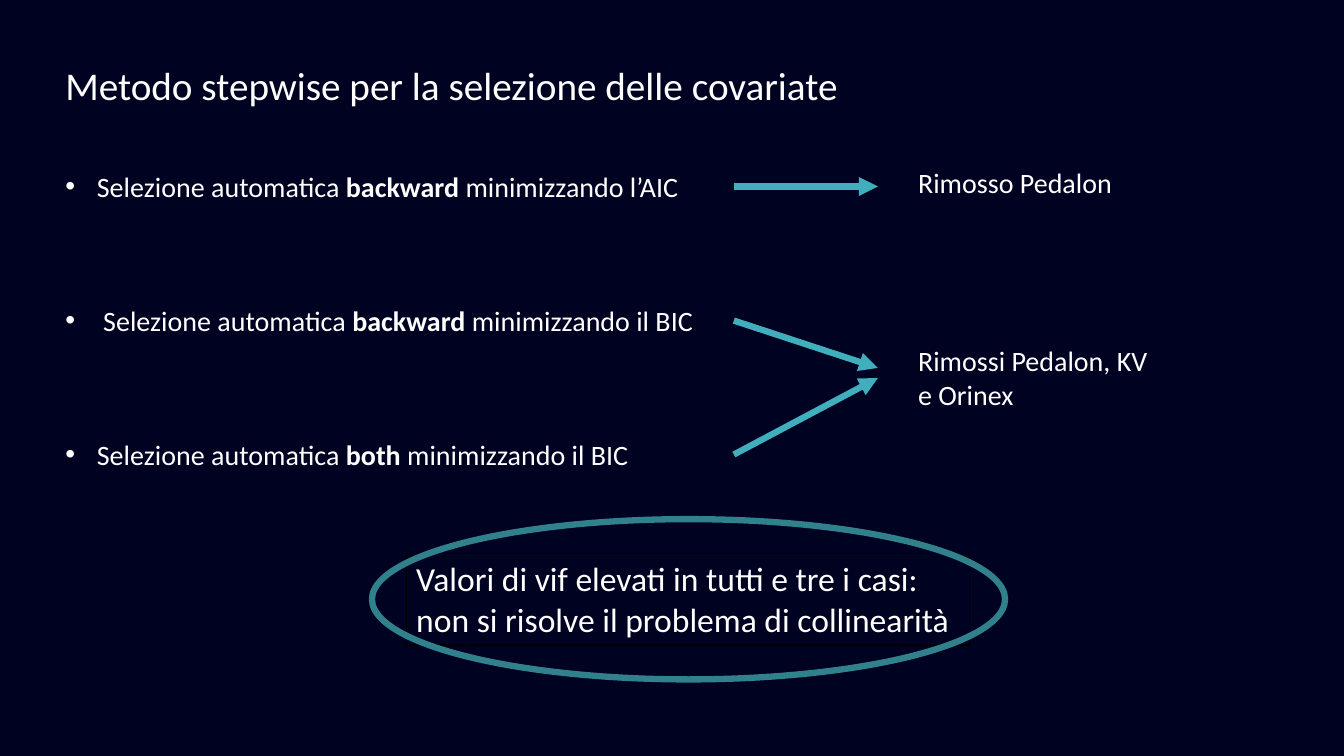
from dataclasses import dataclass

from lxml import etree
from pptx import Presentation
from pptx.dml.color import RGBColor
from pptx.enum.shapes import MSO_CONNECTOR, MSO_SHAPE
from pptx.enum.text import MSO_ANCHOR, PP_ALIGN
from pptx.oxml.ns import qn
from pptx.util import Pt

STRAIGHT = MSO_CONNECTOR.STRAIGHT
RECTANGLE = MSO_SHAPE.RECTANGLE
OVAL = MSO_SHAPE.OVAL
LEFT = PP_ALIGN.LEFT
TOP = MSO_ANCHOR.TOP


@dataclass(frozen=True)
class Theme:
    font: str = "Calibri"
    background: RGBColor = RGBColor(0x00, 0x02, 0x22)
    text: RGBColor = RGBColor(0xFF, 0xFF, 0xFF)
    arrow: RGBColor = RGBColor(0x41, 0xAE, 0xBD)
    ring: RGBColor = RGBColor(0x30, 0x81, 0x8C)
    frame: RGBColor = RGBColor(0x00, 0x00, 0x00)
    title_size: int = 28
    body_size: int = 20
    callout_size: int = 24
    heavy_line: float = 4.5
    thin_line: float = 1


THEME = Theme()
BULLET_INDENT = 22.5
BULLET_GAP = 71.7

METHODS = [
    ("Selezione automatica ", "backward ", "minimizzando l’AIC"),
    (" Selezione automatica ", "backward ", "minimizzando il BIC"),
    ("Selezione automatica ", "both ", "minimizzando il BIC"),
]
ARROW_LEFT, ARROW_RIGHT = 524.2, 627.1
ARROW_HEIGHTS = [(133.2, 133.2), (229, 262.8), (324.7, 270)]
RESULTS = [
    ("Rimosso Pedalon", 114.5, 31.5),
    ("Rimossi Pedalon, KV e Orinex", 241.9, 55.7),
]


def set_format(target, **values):
    for name, value in values.items():
        setattr(target, name, value)


def add_span(para, text, size, bold=False):
    span = para.add_run()
    span.text = text
    set_format(span.font, name=THEME.font, size=Pt(size), bold=bold)
    span.font.color.rgb = THEME.text


def add_text(page, text, bounds, size):
    box = page.shapes.add_textbox(*map(Pt, bounds))
    box.text_frame.word_wrap = True
    add_span(box.text_frame.paragraphs[0], text, size)


def add_bullet(para):
    properties = para._p.get_or_add_pPr()
    properties.set("marL", str(Pt(BULLET_INDENT)))
    properties.set("indent", str(-Pt(BULLET_INDENT)))
    font = etree.SubElement(properties, qn("a:buFont"))
    font.set("typeface", "Arial")
    etree.SubElement(properties, qn("a:buChar")).set("char", "•")


def add_methods(page, bounds):
    box = page.shapes.add_textbox(*map(Pt, bounds))
    frame = box.text_frame
    frame.word_wrap = True
    for index, (start, method, end) in enumerate(METHODS):
        para = frame.add_paragraph() if index else frame.paragraphs[0]
        add_bullet(para)
        if index:
            para.space_before = Pt(BULLET_GAP)
        add_span(para, start, THEME.body_size)
        add_span(para, method, THEME.body_size, bold=True)
        add_span(para, end, THEME.body_size)


def add_arrow(page, start, end):
    arrow = page.shapes.add_connector(STRAIGHT, *map(Pt, start + end))
    arrow.line.color.rgb = THEME.arrow
    arrow.line.width = Pt(THEME.heavy_line)
    head = etree.SubElement(arrow.line._get_or_add_ln(), qn("a:tailEnd"))
    head.set("type", "triangle")
    etree.SubElement(arrow._element.spPr, qn("a:effectLst"))


def add_outline(page, kind, bounds, color, width):
    shape = page.shapes.add_shape(kind, *map(Pt, bounds))
    shape.shadow.inherit = False
    shape.fill.background()
    shape.line.color.rgb = color
    shape.line.width = Pt(width)
    return shape


def add_callout(page, text):
    box = add_outline(page, RECTANGLE, (290.2, 395.3, 402.5, 65.5),
                      THEME.frame, THEME.thin_line)
    set_format(box.text_frame, word_wrap=True, vertical_anchor=TOP)
    para = box.text_frame.paragraphs[0]
    para.alignment = LEFT
    add_span(para, text, THEME.callout_size)
    add_outline(page, OVAL, (265.7, 370.8, 452.2, 114.5),
                THEME.ring, THEME.heavy_line)


def main():
    deck = Presentation()
    set_format(deck, slide_width=Pt(960), slide_height=Pt(540))
    page = deck.slides.add_slide(deck.slide_layouts[6])
    page.background.fill.solid()
    page.background.fill.fore_color.rgb = THEME.background

    add_text(page, "Metodo stepwise per la selezione delle covariate",
             (39.6, 40.3, 612, 41), THEME.title_size)
    add_methods(page, (39.6, 117.4, 574.6, 225.4))
    for start, end in ARROW_HEIGHTS:
        add_arrow(page, (ARROW_LEFT, start), (ARROW_RIGHT, end))
    for text, top, height in RESULTS:
        add_text(page, text, (648.7, top, 182.2, height), THEME.body_size)
    add_callout(page, "Valori di vif elevati in tutti e tre i casi: "
                      "non si risolve il problema di collinearità")
    deck.save("out.pptx")


if __name__ == "__main__":
    main()
